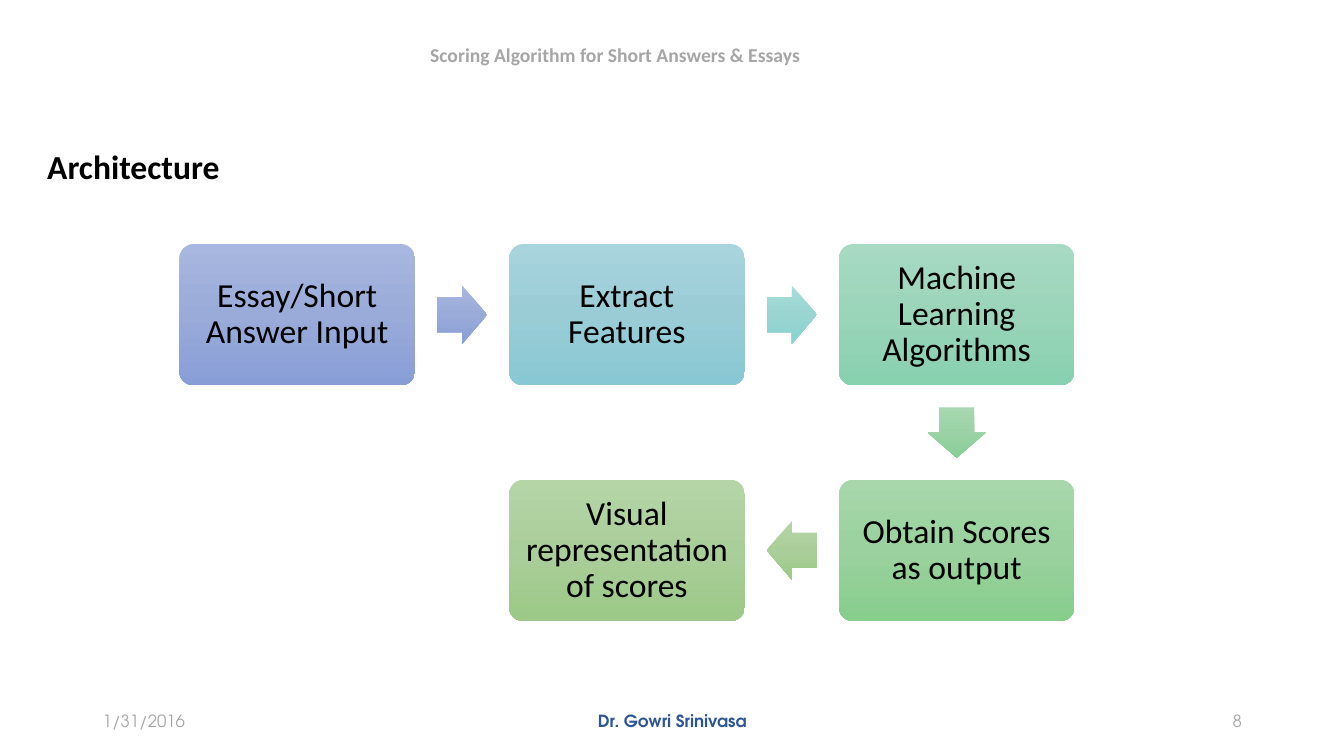
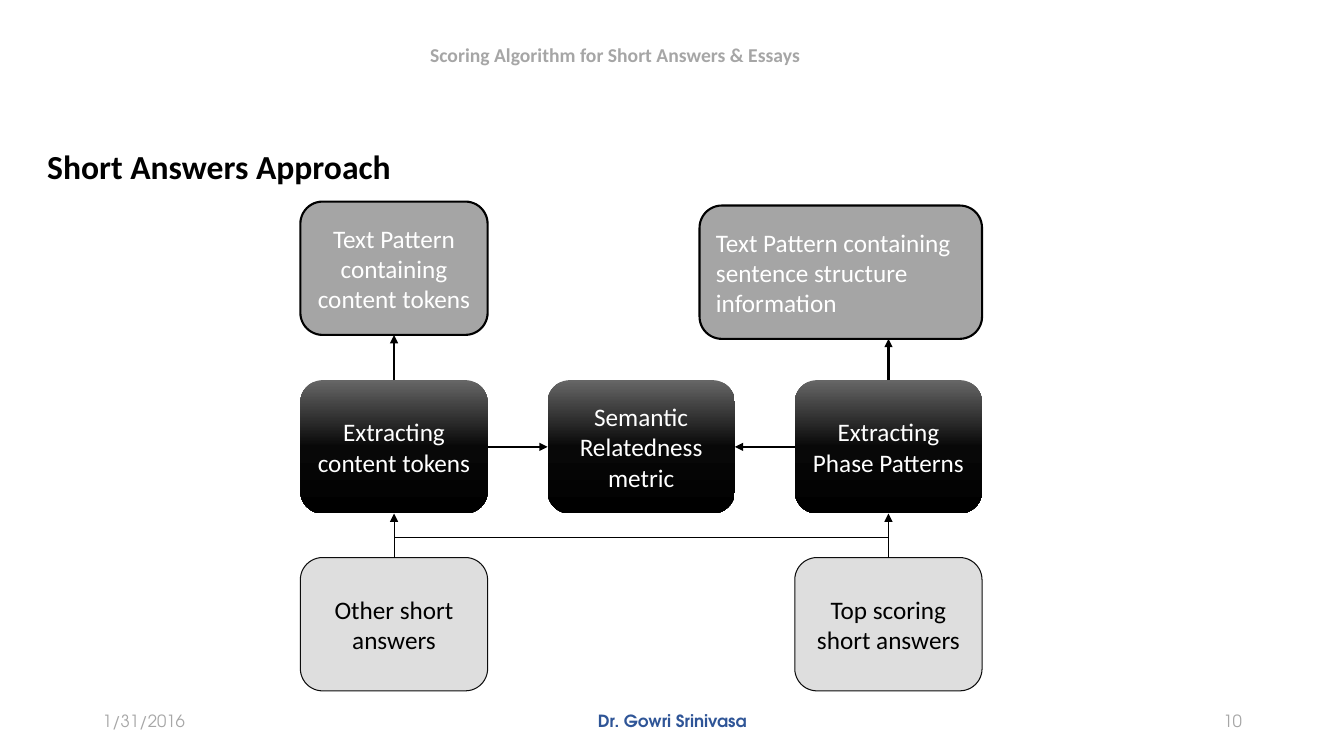
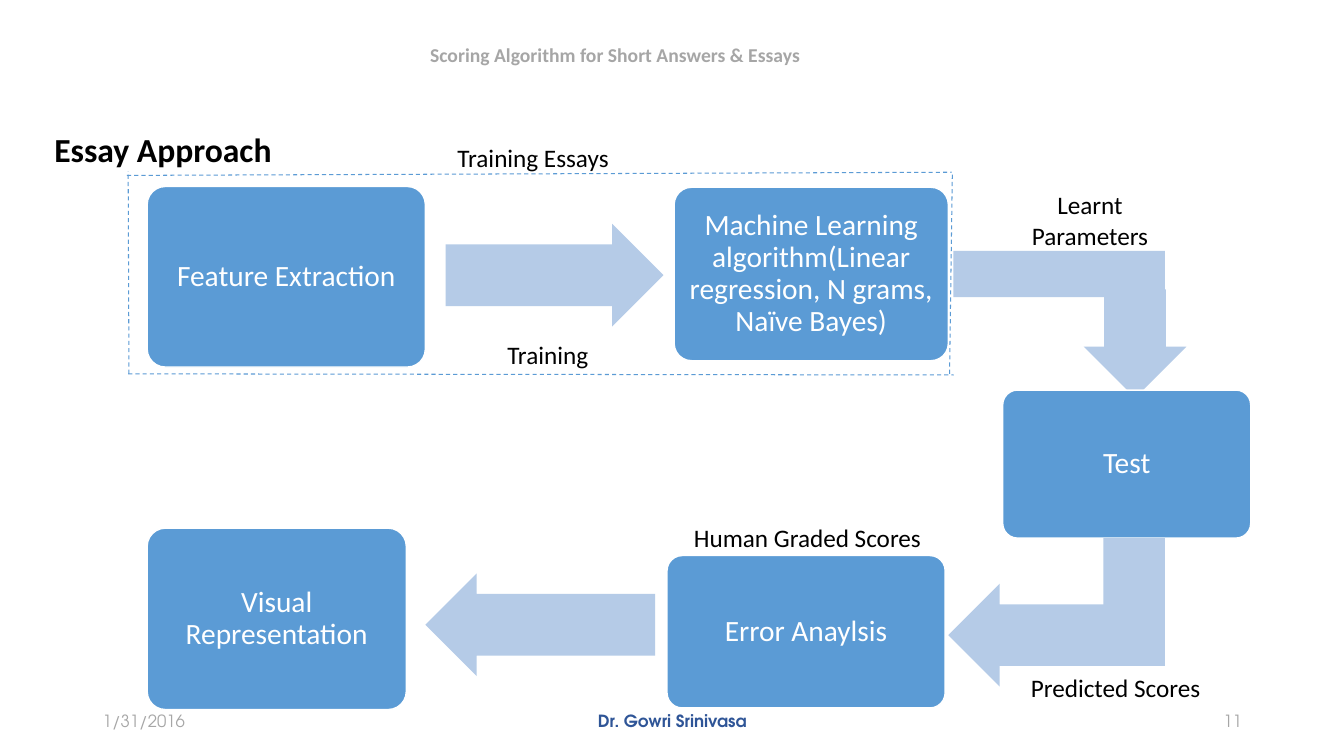
import copy
import pptx
import pptx.util
import pptx.dml.color
import pptx.enum.dml
import pptx.enum.shapes
import pptx.enum.text
import pptx.oxml
import pptx.oxml.ns

Cm, Pt = pptx.util.Cm, pptx.util.Pt
KIND = pptx.enum.shapes.MSO_SHAPE
LINK = pptx.enum.shapes.MSO_CONNECTOR.STRAIGHT
ALIGN = pptx.enum.text.PP_ALIGN
MID = pptx.enum.text.MSO_ANCHOR.MIDDLE
TOP = pptx.enum.text.MSO_ANCHOR.TOP
qn = pptx.oxml.ns.qn

BODY, FOOT = "Calibri", "TeX Gyre Adventor"
BLACK, WHITE, GREY, NAVY = "000000", "FFFFFF", "A6A6A6", "2F5597"
BLUE, PALE = "5B9BD5", "B5CBE7"
ARROWS = {"right": KIND.RIGHT_ARROW, "down": KIND.DOWN_ARROW, "left": KIND.LEFT_ARROW}

HEADER = "Scoring Algorithm for Short Answers & Essays"
DATE, AUTHOR = "1/31/2016", "Dr. Gowri Srinivasa"

# Architecture: text, column, row, gradient
INDIGO = ("A8B7DF", "9AABD9", "889ED7")
OLIVE = ("B5D5A7", "AACE9A", "9CC987")
STEPS = [
    ("Essay/Short Answer Input", 0, 0, INDIGO),
    ("Extract Features", 1, 0, ("A8D4DD", "9ACCD6", "88C8D4")),
    ("Machine Learning Algorithms", 2, 0, ("A8DAC3", "9AD4B9", "87D1AF")),
    ("Obtain Scores as output", 2, 1, ("A7D7AB", "9AD19E", "87CD8C")),
    ("Visual representation of scores", 1, 1, OLIVE),
]
MOVES = [
    ("right", INDIGO),
    ("right", ("A8DCD9", "9AD5D2", "87D3CF")),
    ("down", ("A7D8B1", "9AD2A5", "87CE96")),
    ("left", OLIVE),
]

# Short answers: left, top, width of the two pattern boxes; the rest in a grid
PATTERNS = [
    ("Text Pattern containing content tokens", 7.57, 5.08, 4.72, ALIGN.CENTER),
    ("Text Pattern containing sentence structure information", 17.63, 5.18, 7.12, ALIGN.LEFT),
]
STAGES = ["Extracting content tokens", "Semantic Relatedness metric", "Extracting Phase Patterns"]
INPUTS = [("Other short answers", 0), ("Top scoring short answers", 2)]
SHADE = ("666666", "080808", "000000")

# Essays: left, top, width, height
ESSAY = [
    ("Feature Extraction", (3.71, 4.7, 7.01, 4.55)),
    ("Machine Learning algorithm(Linear regression, N grams, Naïve Bayes)",
     (16.99, 4.72, 6.91, 4.37)),
    ("Test", (25.27, 9.83, 6.25, 3.73)),
    ("Error Anaylsis", (16.81, 14, 7.01, 3.84)),
    ("Visual Representation", (3.71, 13.31, 6.53, 4.57)),
]
FLOWS = [
    ("right", (11.23, 5.64, 5.49, 2.59)),
    ("down", (27.31, 7.29, 2.59, 2.74)),
    ("left", (23.9, 14.71, 5.46, 2.59)),
    ("left", (10.72, 14.45, 5.79, 2.59)),
]
BENDS = [(24.03, 6.32, 5.33, 1.17), (27.81, 13.56, 1.55, 3)]
FRAME = [
    ((3.25, 9.42), (3.23, 4.32)),
    ((23.93, 9.42), (24, 4.34)),
    ((3.2, 4.42), (23.98, 4.34)),
    ((3.23, 9.42), (24.03, 9.45)),
]
LABELS = [
    (["Training"], (12.52, 8.41, 2.57, 1.02)),
    (["Training Essays"], (11.25, 3.45, 4.37, 1.02)),
    (["Learnt", "Parameters"], (25.73, 4.65, 3.48, 1.8)),
    (["Predicted Scores"], (25.7, 16.81, 4.83, 1.02)),
    (["Human Graded Scores"], (17.2, 13.03, 6.3, 1.02)),
]


def tint(code):
    return pptx.dml.color.RGBColor.from_string(code)


def write(shape, lines, size, hue=BLACK, align=ALIGN.CENTER, face=BODY,
          bold=False, space=1, pad=0.25, anchor=MID, wrap=True):
    frame = shape.text_frame
    frame.word_wrap, frame.vertical_anchor = wrap, anchor
    frame.margin_left = frame.margin_right = Cm(pad)
    frame.margin_top = frame.margin_bottom = Cm(0.13)
    for i, line in enumerate(lines):
        para = frame.add_paragraph() if i else frame.paragraphs[0]
        para.alignment, para.line_spacing = align, space
        run = para.add_run()
        run.text = line
        run.font.name, run.font.size, run.font.bold = face, Pt(size), bold
        run.font.color.rgb = tint(hue)


def label(slide, lines, place, size, **style):
    write(slide.shapes.add_textbox(*map(Cm, place)), lines, size, **style)


def block(slide, kind, place, fill, edge=None, width=1, turn=()):
    """Add a shape; fill is a hex colour or three colours from top to bottom."""
    shape = slide.shapes.add_shape(kind, *map(Cm, place))
    shape.shadow.inherit = False
    for i, value in enumerate(turn):
        shape.adjustments[i] = value
    if isinstance(fill, str):
        shape.fill.solid()
        shape.fill.fore_color.rgb = tint(fill)
    else:
        shape.fill.gradient()
        shape.fill.gradient_angle = 270
        stops = shape._element.spPr.find(".//" + qn("a:gsLst"))
        stops.insert(1, copy.deepcopy(stops[0]))
        for stop, spot, code in zip(shape.fill.gradient_stops, (0, 0.5, 1), fill):
            stop.position, stop.color.rgb = spot, tint(code)
    if edge:
        shape.line.color.rgb, shape.line.width = tint(edge), Pt(width)
    else:
        shape.line.fill.background()
    return shape


def fade(shape, share):
    """Make a solid fill partly transparent."""
    color = shape._element.spPr.find(qn("a:solidFill"))[0]
    pptx.oxml.ns  # namespace helpers come from here
    alpha = color.makeelement(qn("a:alpha"), {"val": str(int(share * 100000))})
    color.append(alpha)


def rule(slide, start, end, hue=BLACK, width=1.5, head=False, dash=False):
    line = slide.shapes.add_connector(LINK, *map(Cm, start + end))
    line.line.color.rgb, line.line.width = tint(hue), Pt(width)
    if dash:
        line.line.dash_style = pptx.enum.dml.MSO_LINE.DASH
    props = line._element.spPr
    if head:
        edge = props.find(qn("a:ln"))
        edge.append(edge.makeelement(qn("a:tailEnd"), {"type": "triangle"}))
    props.append(props.makeelement(qn("a:effectLst"), {}))
    return line


def side(shape, spot):
    """Middle of a side in cm: 0 top, 1 left, 2 bottom, 3 right."""
    dx, dy = ((0.5, 0), (0, 0.5), (0.5, 1), (1, 0.5))[spot]
    return ((shape.left + dx * shape.width) / Cm(1), (shape.top + dy * shape.height) / Cm(1))


def join(slide, first, out, last, into, **style):
    line = rule(slide, side(first, out), side(last, into), head=True, **style)
    line.begin_connect(first, out)
    line.end_connect(last, into)


def start(deck, title, number, left=0.94, top=3.66):
    slide = deck.slides.add_slide(deck.slide_layouts[6])
    label(slide, [HEADER], (10.84, 0.66, 12, 1.42), 14, hue=GREY, align=ALIGN.LEFT,
          bold=True, pad=0)
    label(slide, [title], (left, top, 20, 1.2), 24, align=ALIGN.LEFT, bold=True,
          space=0.9, anchor=TOP)
    for text, x, width, align, hue in (
            (DATE, 2.34, 7.62, ALIGN.LEFT, GREY),
            (AUTHOR, 11.23, 11.43, ALIGN.CENTER, NAVY),
            (str(number), 23.93, 7.62, ALIGN.RIGHT, GREY)):
        label(slide, [text], (x, 17.65, width, 1.02), 12, hue=hue, align=align,
              face=FOOT, bold=hue == NAVY)
    return slide


def design(deck):
    slide = start(deck, "Architecture", 8)
    wide, high, long, thick = 5.94, 3.56, 1.27, 1.47
    spots = [(4.52 + 8.31 * col, 6.15 + 5.94 * row) for _, col, row, _ in STEPS]
    for (text, _, _, fill), spot in zip(STEPS, spots):
        box = block(slide, KIND.ROUNDED_RECTANGLE, spot + (wide, high), fill, turn=[0.1])
        write(box, [text], 24, space=0.9)
    for (way, fill), (ax, ay), (bx, by) in zip(MOVES, spots, spots[1:]):
        w, h = (thick, long) if way == "down" else (long, thick)
        place = ((ax + bx + wide - w) / 2, (ay + by + high - h) / 2, w, h)
        block(slide, ARROWS[way], place, fill, turn=[0.6, 0.5])


def short(deck):
    slide = start(deck, "Short Answers Approach", 10)
    left, pitch, wide, high = 7.57, 6.23, 4.72, 3.36
    kind = KIND.ROUNDED_RECTANGLE
    goals, stages, inputs = [], [], []
    for text, x, y, w, align in PATTERNS:
        goals.append(block(slide, kind, (x, y, w, high), "A5A5A5", BLACK, 1.5))
        write(goals[-1], [text], 18, WHITE, align)
    for col, text in enumerate(STAGES):
        stages.append(block(slide, kind, (left + pitch * col, 9.58, wide, high), SHADE))
        write(stages[-1], [text], 18, WHITE)
    for text, col in INPUTS:
        box = block(slide, kind, (left + pitch * col, 14.05, wide, high),
                    "BFBFBF", "0D0D0D", 0.75)
        fade(box, 0.5)
        write(box, [text], 18)
        inputs.append(box)
    tokens, metric, phases = stages
    join(slide, tokens, 0, goals[0], 2)
    join(slide, tokens, 3, metric, 1)
    join(slide, phases, 1, metric, 3)
    x, y = side(phases, 0)
    rule(slide, (x, y), (x, side(goals[1], 2)[1]), head=True).begin_connect(phases, 0)
    for box, stage in zip(inputs, (tokens, phases)):
        join(slide, box, 0, stage, 2, width=0.5)
    rule(slide, (side(tokens, 2)[0], 13.54), (x, 13.54), width=0.5)


def essay(deck):
    slide = start(deck, "Essay Approach", 11, 1.12, 3.23)
    for way, place in FLOWS:
        block(slide, ARROWS[way], place, PALE, turn=[0.6, 0.5])
    for text, place in ESSAY:
        box = block(slide, KIND.ROUNDED_RECTANGLE, place, BLUE, WHITE, turn=[0.1])
        write(box, [text], 21, WHITE, space=0.9, pad=0.23)
    for place in BENDS:
        block(slide, KIND.RECTANGLE, place, PALE)
    for first, last in FRAME:
        rule(slide, first, last, BLUE, 0.75, dash=True)
    for lines, place in LABELS:
        label(slide, lines, place, 18, anchor=TOP, wrap=False)


def main():
    deck = pptx.Presentation()
    deck.slide_width, deck.slide_height = Cm(33.87), Cm(19.05)
    for build in (design, short, essay):
        build(deck)
    deck.save("out.pptx")


if __name__ == "__main__":
    main()
